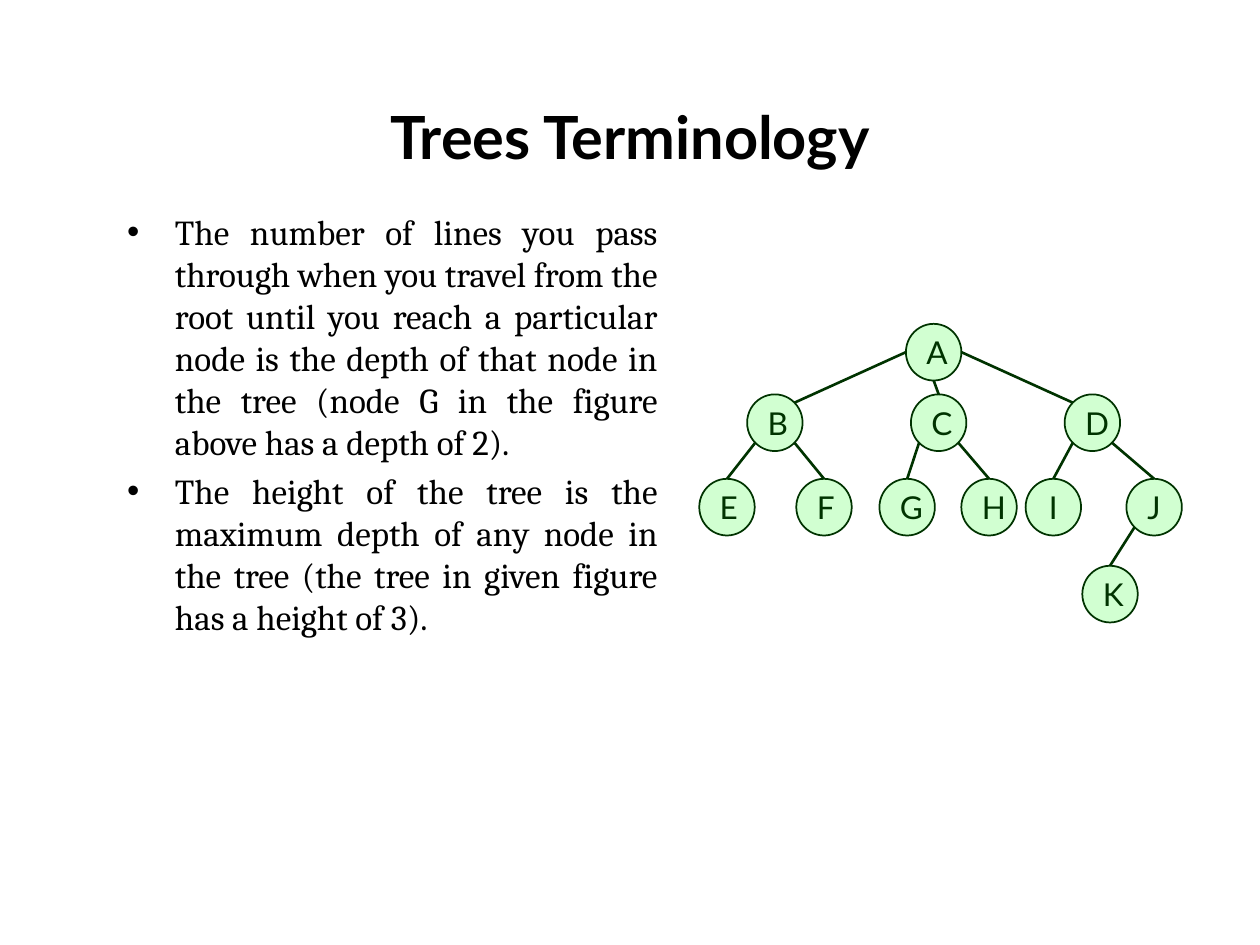
from dataclasses import dataclass
from math import cos, radians, sin

from lxml.etree import SubElement
from pptx import Presentation
from pptx.dml.color import RGBColor
from pptx.enum.shapes import MSO_CONNECTOR, MSO_SHAPE
from pptx.enum.text import MSO_ANCHOR, PP_ALIGN
from pptx.oxml.ns import qn
from pptx.util import Inches, Pt


@dataclass(frozen=True)
class Theme:
    """Colours, fonts and sizes of the slide."""
    text: RGBColor = RGBColor(0x00, 0x00, 0x00)
    node_fill: RGBColor = RGBColor(0xD1, 0xFF, 0xD1)
    node_ink: RGBColor = RGBColor(0x00, 0x33, 0x00)
    sans: str = "Lato"
    serif: str = "Cambria"
    title_size: int = 34
    body_size: int = 20
    node_size: int = 18
    outline: float = 1
    branch: float = 1.5


NODE_WIDTH, NODE_HEIGHT = 0.44, 0.45
TOP, RIGHT, BOTTOM, LEFT = 270, 0, 90, 180
TOP_RIGHT, BOTTOM_RIGHT, BOTTOM_LEFT, TOP_LEFT = 315, 45, 135, 225

LEVELS = {
    2.57: {"A": 7.19},
    3.13: {"B": 5.93, "C": 7.23, "D": 8.45},
    3.8: {"E": 5.55, "F": 6.32, "G": 6.98, "H": 7.63, "I": 8.14, "J": 8.94},
    4.49: {"K": 8.59},
}
BRANCHES = [
    ("A", LEFT, "B", TOP_RIGHT),
    ("A", BOTTOM, "C", TOP),
    ("A", RIGHT, "D", TOP_LEFT),
    ("B", BOTTOM_LEFT, "E", TOP),
    ("B", BOTTOM_RIGHT, "F", TOP),
    ("C", BOTTOM_LEFT, "G", TOP),
    ("C", BOTTOM_RIGHT, "H", TOP),
    ("D", BOTTOM_LEFT, "I", TOP),
    ("D", BOTTOM_RIGHT, "J", TOP),
    ("J", BOTTOM_LEFT, "K", TOP),
]
DEFINITIONS = [
    "The number of lines you pass through when you travel from the root until "
    "you reach a particular node is the depth of that node in the tree "
    "(node G in the figure above has a depth of 2).",
    "The height of the tree is the maximum depth of any node in the tree "
    "(the tree in given figure has a height of 3).",
]


class SlideBuilder:
    """Draws styled elements on one slide."""

    def __init__(self, slide, theme):
        """Keep the slide, its style and a group for the tree."""
        self.slide = slide
        self.theme = theme
        self.tree = slide.shapes.add_group_shape()

    def add_run(self, paragraph, text, font, size, color, bold=False):
        """Append one formatted run to a paragraph."""
        run = paragraph.add_run()
        run.text = text
        run.font.name = font
        run.font.size = Pt(size)
        run.font.color.rgb = color
        run.font.bold = bold

    def title(self, text, left, top, width, height):
        """Place and format the title placeholder."""
        shape = self.slide.shapes.title
        shape.left, shape.top = Inches(left), Inches(top)
        shape.width, shape.height = Inches(width), Inches(height)
        shape.text_frame.vertical_anchor = MSO_ANCHOR.MIDDLE
        paragraph = shape.text_frame.paragraphs[0]
        paragraph.alignment = PP_ALIGN.CENTER
        self.add_run(paragraph, text, self.theme.sans, self.theme.title_size,
                     self.theme.text, True)

    def bullets(self, texts, left, top, width, height):
        """Add a justified bulleted list."""
        shape = self.slide.shapes.add_textbox(
            Inches(left), Inches(top), Inches(width), Inches(height))
        frame = shape.text_frame
        frame.word_wrap = True
        for index, text in enumerate(texts):
            paragraph = frame.add_paragraph() if index else frame.paragraphs[0]
            paragraph.alignment = PP_ALIGN.JUSTIFY
            paragraph.space_before = Pt(4 if index else 0)
            properties = paragraph._p.get_or_add_pPr()
            properties.set("marL", str(Inches(0.38)))
            properties.set("indent", str(Inches(-0.38)))
            SubElement(properties, qn("a:buFont")).set("typeface", "Arial")
            SubElement(properties, qn("a:buChar")).set("char", "•")
            self.add_run(paragraph, text, self.theme.serif,
                         self.theme.body_size, self.theme.text)

    def node(self, label, left, top):
        """Add a labelled circle to the tree."""
        shape = self.tree.shapes.add_shape(
            MSO_SHAPE.OVAL, Inches(left), Inches(top),
            Inches(NODE_WIDTH), Inches(NODE_HEIGHT))
        shape.shadow.inherit = False
        shape.fill.solid()
        shape.fill.fore_color.rgb = self.theme.node_fill
        shape.line.color.rgb = self.theme.node_ink
        shape.line.width = Pt(self.theme.outline)
        shape.text_frame.vertical_anchor = MSO_ANCHOR.MIDDLE
        paragraph = shape.text_frame.paragraphs[0]
        paragraph.alignment = PP_ALIGN.CENTER
        self.add_run(paragraph, label, self.theme.sans, self.theme.node_size,
                     self.theme.node_ink)
        return shape

    def rim_point(self, shape, angle):
        """Return the point on a node's rim, clockwise from its right."""
        x = shape.left + shape.width / 2 * (1 + cos(radians(angle)))
        y = shape.top + shape.height / 2 * (1 + sin(radians(angle)))
        return round(x), round(y)

    def branch(self, parent, parent_angle, child, child_angle):
        """Join two nodes with a line from rim to rim."""
        connector = self.tree.shapes.add_connector(
            MSO_CONNECTOR.STRAIGHT, *self.rim_point(parent, parent_angle),
            *self.rim_point(child, child_angle))
        connector.line.color.rgb = self.theme.node_ink
        connector.line.width = Pt(self.theme.branch)
        SubElement(connector._element.spPr, qn("a:effectLst"))


def main():
    """Build the slide and save it."""
    presentation = Presentation()
    presentation.slide_width = Inches(10)
    presentation.slide_height = Inches(7.5)
    slide = presentation.slides.add_slide(presentation.slide_layouts[5])
    builder = SlideBuilder(slide, Theme())
    builder.title("Trees Terminology", 0.5, 0.68, 9, 0.79)
    builder.bullets(DEFINITIONS, 0.91, 1.62, 4.41, 4.5)
    nodes = {label: builder.node(label, left, top)
             for top, level in LEVELS.items()
             for label, left in level.items()}
    for parent, parent_angle, child, child_angle in BRANCHES:
        builder.branch(nodes[parent], parent_angle, nodes[child], child_angle)
    presentation.save("out.pptx")


if __name__ == "__main__":
    main()
